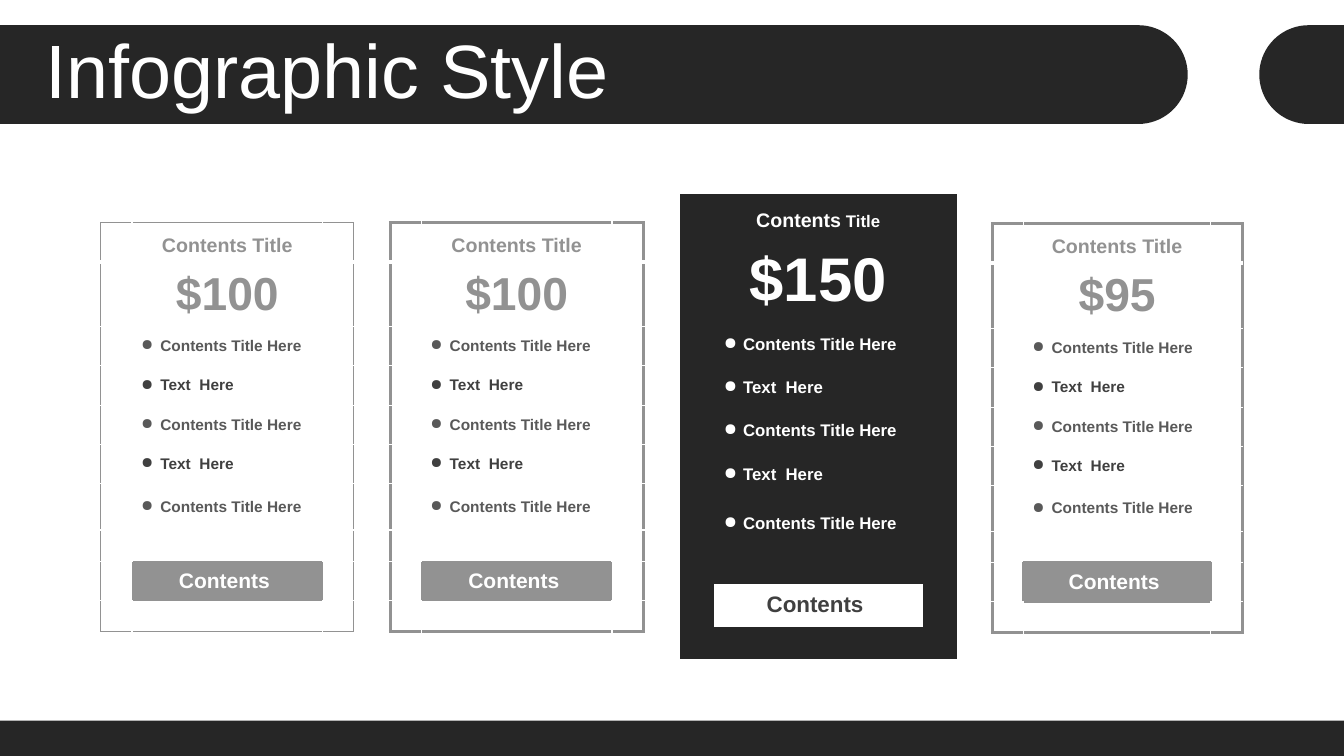
import math
import lxml.etree
import pptx
import pptx.dml.color
import pptx.enum.shapes
import pptx.enum.text
import pptx.oxml.ns
import pptx.util

Inches = pptx.util.Inches
Pt = pptx.util.Pt
RGB = pptx.dml.color.RGBColor.from_string
qn = pptx.oxml.ns.qn
ALIGN = pptx.enum.text.PP_ALIGN
ANCHOR = pptx.enum.text.MSO_ANCHOR


class Theme:
    font = "Arial"
    dark, white, gray = "262626", "FFFFFF", "929292"
    soft, ink = "595959", "404040"
    title = 54
    empty = 8
    plain = dict(head=14, tail=14, price=33, item=11, button=15)
    bold = dict(head=14, tail=12, price=44, item=12, button=16)


def add_run(para, text, size, color, bold=True):
    run = para.add_run()
    run.text = text
    run.font.name = Theme.font
    run.font.size = Pt(size)
    run.font.bold = bold
    run.font.color.rgb = RGB(color)


def add_edge(cell, side, color, width):
    props = cell._tc.get_or_add_tcPr()
    line = lxml.etree.SubElement(props, qn("a:ln" + side))
    if color is None:
        lxml.etree.SubElement(line, qn("a:noFill"))
        return
    line.set("w", str(Pt(width)))
    fill = lxml.etree.SubElement(line, qn("a:solidFill"))
    lxml.etree.SubElement(fill, qn("a:srgbClr")).set("val", color)


deck = pptx.Presentation()
deck.slide_width, deck.slide_height = Inches(13.33), Inches(7.5)
slide = deck.slides.add_slide(deck.slide_layouts[5])
shapes = slide.shapes

# Header bands with one round end, and the footer bar
radius, middle = 0.49, 0.74
bands = []
for flat, center, turn in [(0, 11.29, 1), (13.33, 12.98, -1)]:
    points = [(flat, middle - radius)]
    for step in range(37):
        angle = math.radians(-90 + step * 5)
        points.append((center + turn * radius * math.cos(angle),
                       middle + radius * math.sin(angle)))
    points.append((flat, middle + radius))
    points = [(Inches(x), Inches(y)) for x, y in points]
    outline = shapes.build_freeform(*points[0], scale=1)
    outline.add_line_segments(points[1:], close=True)
    bands.append(outline.convert_to_shape())
bands.append(shapes.add_shape(pptx.enum.shapes.MSO_SHAPE.RECTANGLE,
                              0, Inches(7.15), Inches(13.33), Inches(0.35)))
for band in bands:
    band.shadow.inherit = False
    band.fill.solid()
    band.fill.fore_color.rgb = RGB(Theme.dark)
    band.line.fill.background()

# Title, brought in front of the band
title = shapes.title
shapes._spTree.append(title._element)
title.left, title.top = Inches(0.35), Inches(0.34)
title.width, title.height = Inches(12.66), Inches(0.79)
frame = title.text_frame
frame.auto_size = pptx.enum.text.MSO_AUTO_SIZE.NONE
frame.vertical_anchor = ANCHOR.MIDDLE
para = frame.paragraphs[0]
para.alignment = ALIGN.LEFT
para.line_spacing = 0.9
add_run(para, "Infographic Style", Theme.title, Theme.white, False)

# Price cards: left, top, side and middle columns,
# line, price, last and gap rows, price text, border width (0 is the dark card)
cards = [
    (1.00, 2.21, 0.31, 1.89, 0.39, 0.64, 0.46, 0.31, "$100", 1),
    (3.87, 2.21, 0.31, 1.89, 0.39, 0.64, 0.46, 0.31, "$100", 2.25),
    (6.74, 1.92, 0.34, 2.07, 0.43, 0.85, 0.55, 0.32, "$150", 0),
    (9.84, 2.22, 0.31, 1.86, 0.39, 0.65, 0.45, 0.31, "$95", 2.25),
]
items = ["Contents Title Here", "Text  Here"]
button = 8

for number, card in enumerate(cards):
    left, top, side, mid, line, tall, last, gap, price, border = card
    framed = number == 3
    if border:
        size, back, face = Theme.plain, Theme.white, Theme.gray
        tones, label = [Theme.soft, Theme.ink], Theme.white
    else:
        size, back, face = Theme.bold, Theme.dark, Theme.white
        tones, label = [Theme.white] * 2, Theme.ink

    cols = [side, mid, side]
    rows = [line, tall] + [line] * 4 + [last, gap, line, gap]
    table = shapes.add_table(len(rows), len(cols), Inches(left), Inches(top),
                             Inches(sum(cols)), Inches(sum(rows))).table
    table.first_row = table.horz_banding = False
    for index, width in enumerate(cols):
        table.columns[index].width = Inches(width)
    for index, height in enumerate(rows):
        table.rows[index].height = Inches(height)

    # Borders and fills
    for row in range(len(rows)):
        for col in range(len(cols)):
            cell = table.cell(row, col)
            near = {"L": (row, col - 1), "R": (row, col + 1),
                    "T": (row - 1, col), "B": (row + 1, col)}
            for name, (y, x) in near.items():
                if not border:
                    edge = (None, 0)
                elif y not in range(len(rows)) or x not in range(len(cols)):
                    edge = (Theme.gray, border)
                elif (button, 1) in [(row, col), (y, x)]:
                    edge = (Theme.gray if framed else None, border)
                else:
                    edge = (Theme.white, 3 if row == 0 and name == "B" else 1)
                add_edge(cell, name, *edge)
            cell.fill.solid()
            cell.fill.fore_color.rgb = RGB(
                face if (row, col) == (button, 1) else back)
            cell.vertical_anchor = ANCHOR.MIDDLE if row else ANCHOR.BOTTOM
            if border:
                cell.margin_left = cell.margin_right = Inches(0.09)
            if col != 1 or row in (7, 9):
                end = cell.text_frame.paragraphs[0]._p.get_or_add_endParaRPr()
                end.set("sz", str(Theme.empty * 100))

    # Heading, price and button
    lines = {0: [("Contents", size["head"], face), (" Title", size["tail"], face)],
             1: [(price, size["price"], face)],
             button: [("Contents ", size["button"], label)]}
    for row, runs in lines.items():
        para = table.cell(row, 1).text_frame.paragraphs[0]
        para.alignment = ALIGN.CENTER
        for run in runs:
            add_run(para, *run)

    # Bulleted features
    for index in range(5):
        para = table.cell(index + 2, 1).text_frame.paragraphs[0]
        props = para._p.get_or_add_pPr()
        props.set("marL", str(Inches(0.19)))
        props.set("indent", str(-Inches(0.19)))
        lxml.etree.SubElement(props, qn("a:buChar")).set("char", "●")
        add_run(para, items[index % 2], size["item"], tones[index % 2])

deck.save("out.pptx")
